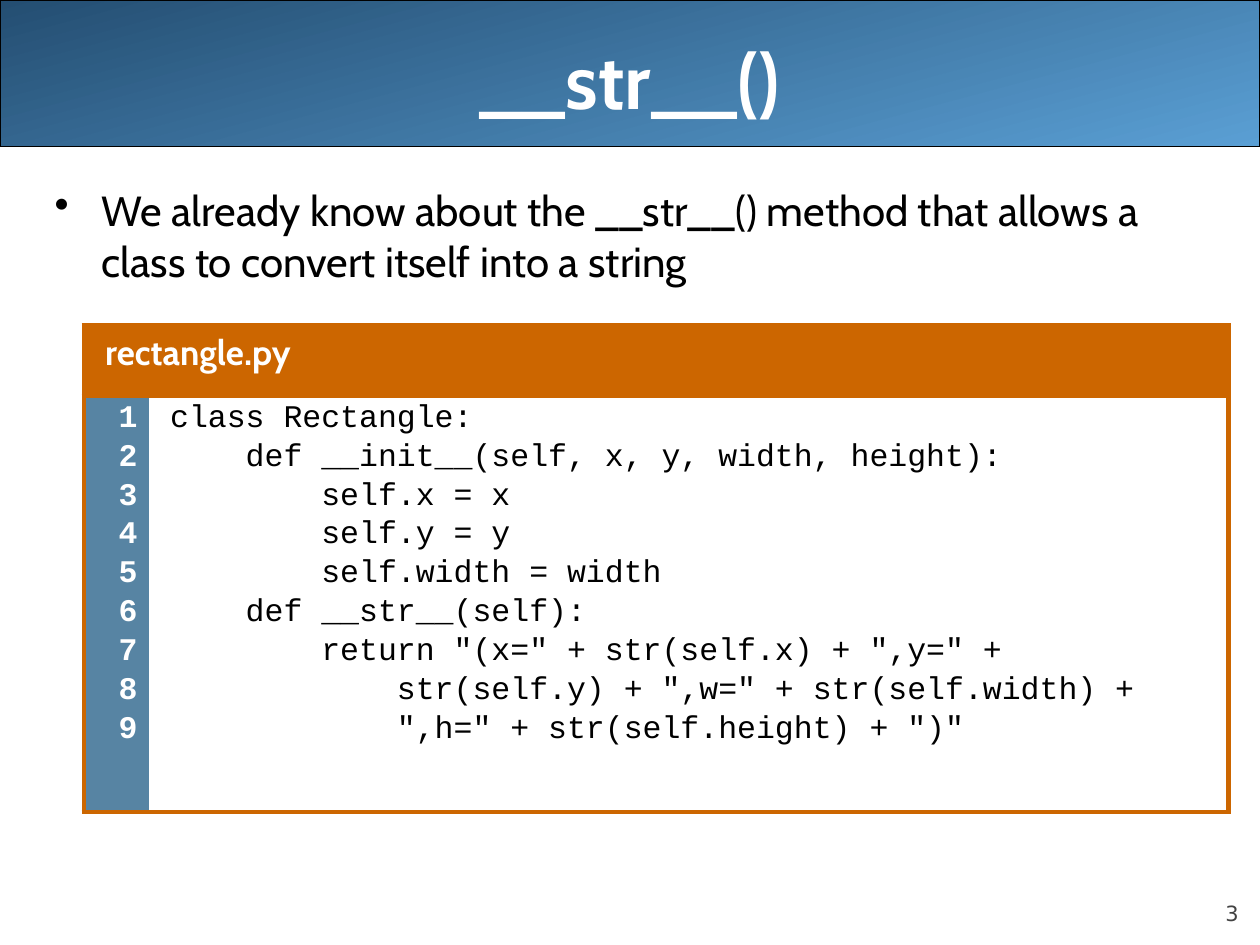
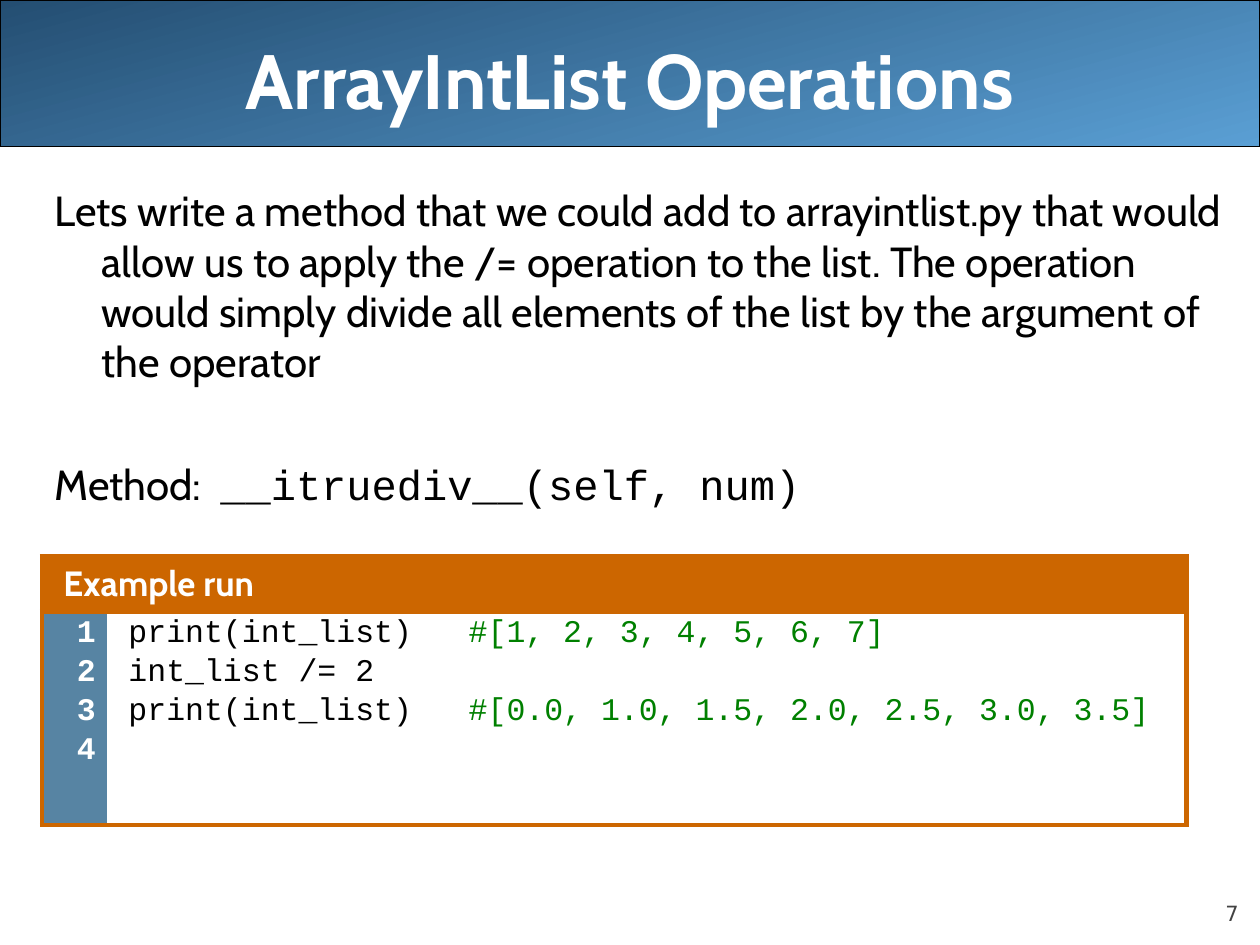
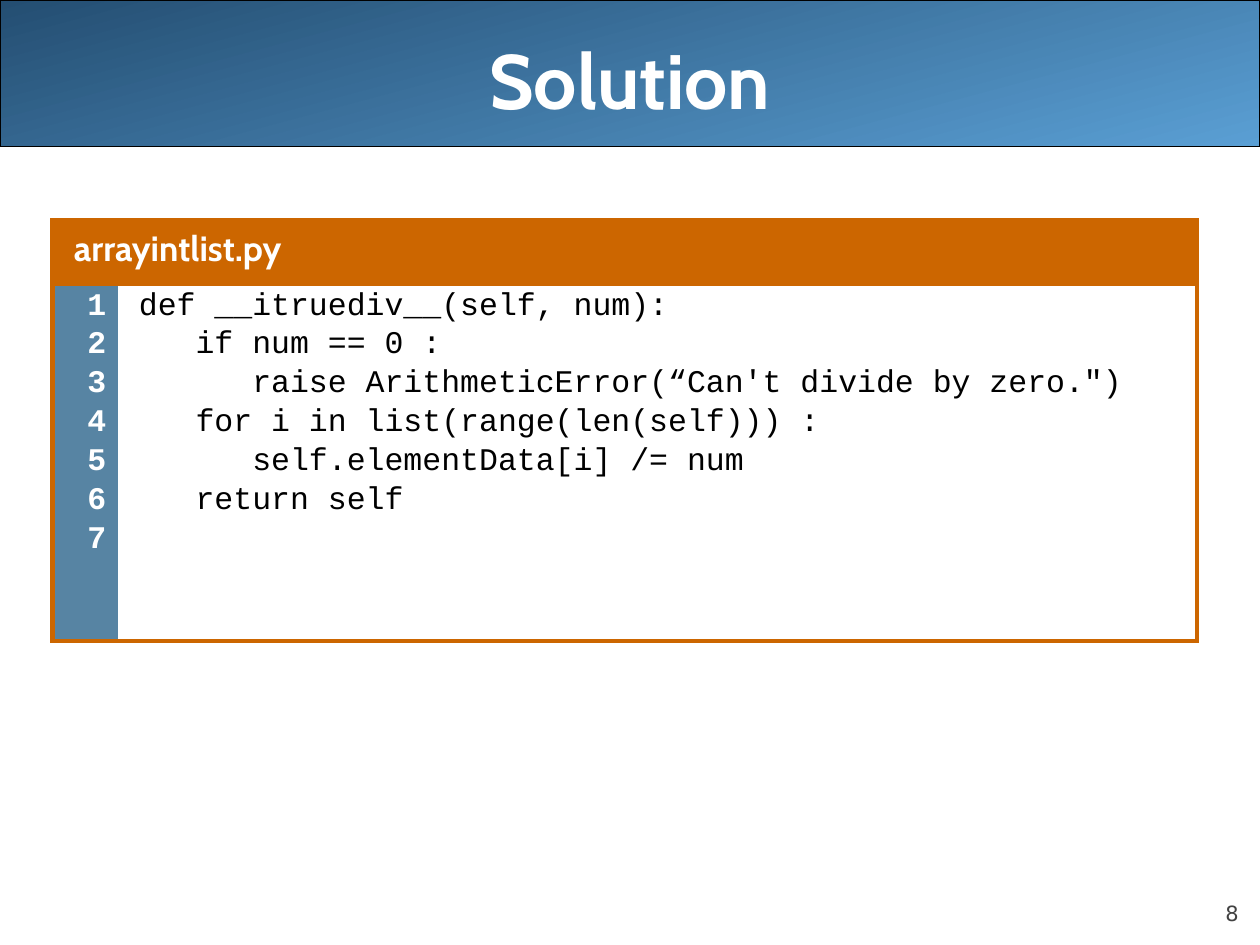
from lxml.etree import SubElement
from pptx import Presentation
from pptx.dml.color import RGBColor
from pptx.enum.shapes import MSO_SHAPE
from pptx.enum.text import MSO_ANCHOR, PP_ALIGN
from pptx.oxml import parse_xml
from pptx.oxml.ns import nsdecls, qn
from pptx.util import Cm, Pt

COLORS = {
    "band_light": "5A9FD4",
    "band_dark": "244E72",
    "orange": "CC6600",
    "gutter": "5784A3",
    "comment": "008000",
    "page": "424242",
    "black": "000000",
    "white": "FFFFFF",
}
HEADING_FONT = "Cabin"
CODE_FONT = "Courier New"
NO_STYLE = "{2D5ABB26-0587-4C30-8999-92F81FD0307C}"


def write(frame, text, *, size=24, font=HEADING_FONT, color="black", bold=False,
          align=PP_ALIGN.LEFT, before=0, spacing=None, left=0, hang=0,
          bullet=False, same_line=False):
    paragraph = frame.paragraphs[-1]
    if not same_line:
        if paragraph.runs:
            paragraph = frame.add_paragraph()
        paragraph.alignment = align
        paragraph.space_before = Pt(before)
        if spacing:
            paragraph.line_spacing = spacing
        properties = paragraph._p.get_or_add_pPr()
        properties.set("marL", str(Cm(left)))
        properties.set("indent", str(-Cm(hang)))
        if bullet:
            SubElement(properties, qn("a:buChar")).set("char", "•")
        else:
            SubElement(properties, qn("a:buNone"))
    run = paragraph.add_run()
    run.text = text
    run.font.size = Pt(size)
    run.font.name = font
    run.font.bold = bold
    run.font.color.rgb = RGBColor.from_string(COLORS[color])


def add_frame(slide, left, top, width, height, anchor=MSO_ANCHOR.TOP):
    frame = slide.shapes.add_textbox(Cm(left), Cm(top), Cm(width), Cm(height)).text_frame
    frame.word_wrap = True
    frame.vertical_anchor = anchor
    return frame


RECTANGLE_CODE = '''class Rectangle:
    def __init__(self, x, y, width, height):
        self.x = x
        self.y = y
        self.width = width
    def __str__(self):
        return "(x=" + str(self.x) + ",y=" +
            str(self.y) + ",w=" + str(self.width) +
            ",h=" + str(self.height) + ")"'''

EXAMPLE_CODE = '''print(int_list)   #[1, 2, 3, 4, 5, 6, 7]
int_list /= 2
print(int_list)   #[0.0, 1.0, 1.5, 2.0, 2.5, 3.0, 3.5]'''

SOLUTION_CODE = '''def __itruediv__(self, num):
   if num == 0 :
      raise ArithmeticError(“Can't divide by zero.")
   for i in list(range(len(self))) :
      self.elementData[i] /= num
   return self'''

LESSONS = [
    dict(title="__str__()", page=3, heading="rectangle.py", code=RECTANGLE_CODE,
         line_count=9, left=1.69, top=6.56, rows=(1.42, 8.39)),
    dict(title="ArrayIntList Operations", page=7, heading="Example run", code=EXAMPLE_CODE,
         line_count=4, left=0.85, top=11.22, rows=(1.06, 4.3)),
    dict(title="Solution", page=8, heading="arrayintlist.py", code=SOLUTION_CODE,
         line_count=7, left=1.06, top=4.45, rows=(1.27, 7.2)),
]
COLUMNS = (1.31, 21.76)

deck = Presentation()
deck.slide_width = Cm(25.4)
deck.slide_height = Cm(19.05)
slides = []

for lesson in LESSONS:
    slide = deck.slides.add_slide(deck.slide_layouts[6])
    slides.append(slide)

    band = slide.shapes.add_shape(MSO_SHAPE.ROUNDED_RECTANGLE, 0, 0, deck.slide_width, Cm(2.96))
    band.adjustments[0] = 0
    band.shadow.inherit = False
    band.fill.gradient()
    band.fill.gradient_angle = 105
    for stop, shade in zip(band.fill.gradient_stops, ("band_light", "band_dark")):
        stop.color.rgb = RGBColor.from_string(COLORS[shade])
    band.line.color.rgb = RGBColor.from_string(COLORS["black"])
    band.line.width = Pt(0.75)

    page = add_frame(slide, 22.86, 17.65, 2.11, 1.02, MSO_ANCHOR.BOTTOM)
    page.margin_left = page.margin_top = page.margin_right = page.margin_bottom = 0
    write(page, str(lesson["page"]), size=12, font="DejaVu Sans", color="page",
          align=PP_ALIGN.RIGHT, before=5)

    title = add_frame(slide, 1.27, 0, 22.86, 3.18, MSO_ANCHOR.MIDDLE)
    write(title, lesson["title"], size=44, color="white", bold=True, align=PP_ALIGN.CENTER)

    listing = slide.shapes.add_table(
        2, 2, Cm(lesson["left"]), Cm(lesson["top"]),
        Cm(sum(COLUMNS)), Cm(sum(lesson["rows"]))).table
    listing.first_row = listing.horz_banding = False
    listing._tbl.tblPr.find(qn("a:tableStyleId")).text = NO_STYLE
    for column, width in zip(listing.columns, COLUMNS):
        column.width = Cm(width)
    for row, height in zip(listing.rows, lesson["rows"]):
        row.height = Cm(height)

    heading, heading_rest = listing.rows[0].cells
    gutter, code = listing.rows[1].cells
    heading.merge(heading_rest)
    for cell, shade, sides, right_margin in (
            (heading, "orange", "LRTB", 0.13),
            (heading_rest, "orange", "RTB", 0.13),
            (gutter, "gutter", "LTB", 0.23),
            (code, "white", "RTB", 0.46)):
        cell.margin_left = cell.margin_top = cell.margin_bottom = Cm(0.13)
        cell.margin_right = Cm(right_margin)
        cell.fill.solid()
        cell.fill.fore_color.rgb = RGBColor.from_string(COLORS[shade])
        for position, side in enumerate(sides):
            cell._tc.tcPr.insert(position, parse_xml(
                f'<a:ln{side} {nsdecls("a")} w="{Pt(3)}"><a:solidFill>'
                f'<a:srgbClr val="{COLORS["orange"]}"/></a:solidFill></a:ln{side}>'))

    write(heading.text_frame, lesson["heading"], size=20, color="white", bold=True,
          before=5, left=0.3)
    code_style = dict(size=18, font=CODE_FONT)
    line_style = dict(code_style, before=4.5, spacing=0.87, left=0.3)
    for number in range(1, lesson["line_count"] + 1):
        write(gutter.text_frame, str(number), color="white", bold=True,
              align=PP_ALIGN.RIGHT, **line_style)
    for line in lesson["code"].splitlines():
        statement, mark, comment = line.partition("#")
        write(code.text_frame, statement, **line_style)
        if mark:
            write(code.text_frame, mark + comment, color="comment", same_line=True, **code_style)

str_slide, operations_slide, solution_slide = slides
hanging = dict(left=0.95, hang=0.95)

introduction = add_frame(str_slide, 0.85, 3.6, 24.13, 2.8)
write(introduction, "We already know about the __str__() method that allows a class "
      "to convert itself into a string", before=6, bullet=True, **hanging)

task = add_frame(operations_slide, 0.85, 3.6, 24.13, 7.2)
write(task, "Lets write a method that we could add to arrayintlist.py that would allow us "
      "to apply the /= operation to the list. The operation would simply divide all "
      "elements of the list by the argument of the operator", before=6, **hanging)
write(task, "Method:  ", before=41, **hanging)
write(task, "__itruediv__(self, num)", font=CODE_FONT, same_line=True)

deck.save("out.pptx")
